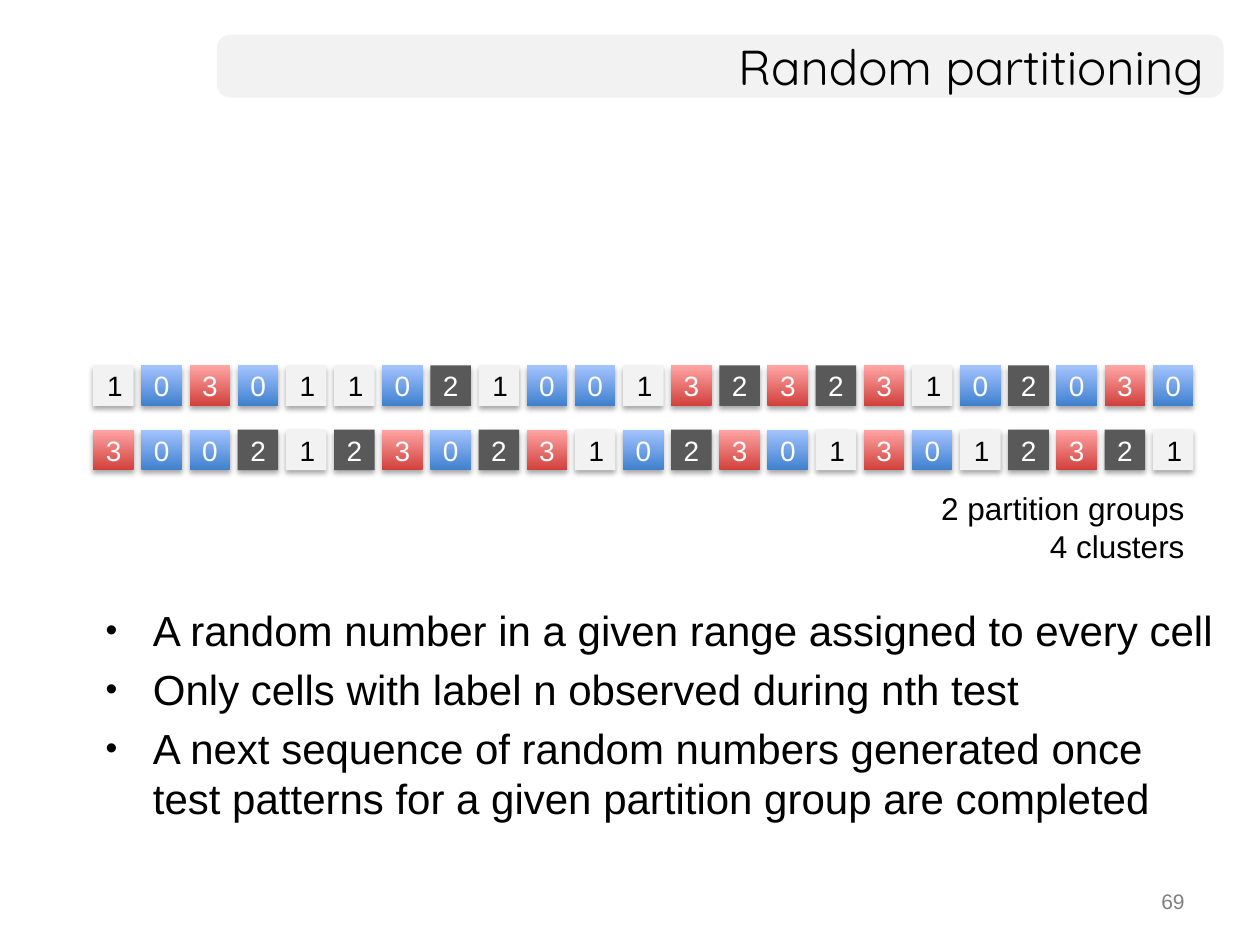
from lxml.etree import SubElement
from pptx import Presentation
from pptx.dml.color import RGBColor
from pptx.enum.shapes import MSO_SHAPE
from pptx.enum.text import MSO_ANCHOR, PP_ALIGN
from pptx.oxml.ns import qn
from pptx.util import Pt

BLACK = RGBColor(0x00, 0x00, 0x00)
WHITE = RGBColor(0xFF, 0xFF, 0xFF)
GRAY = RGBColor(0x80, 0x80, 0x80)
LIGHT = RGBColor(0xF2, 0xF2, 0xF2)
DARK = RGBColor(0x59, 0x59, 0x59)
BLUE = (RGBColor(0x3F, 0x80, 0xCE), RGBColor(0xA4, 0xC4, 0xFF))
RED = (RGBColor(0xD1, 0x40, 0x3C), RGBColor(0xFF, 0xA6, 0xA5))


def add_text(shapes, x, y, w, h, lines, size, align, font="Arial", color=BLACK):
    tf = shapes.add_textbox(Pt(x), Pt(y), Pt(w), Pt(h)).text_frame
    tf.word_wrap = True
    for i, line in enumerate(lines):
        p = tf.paragraphs[0] if i == 0 else tf.add_paragraph()
        p.alignment = align
        add_run(p, line, size, color, font)
    return tf


def add_run(p, text, size, color, font="Arial"):
    r = p.add_run()
    r.text = text
    r.font.size = Pt(size)
    r.font.name = font
    r.font.color.rgb = color


prs = Presentation()
prs.slide_width, prs.slide_height = Pt(720), Pt(540)
s = prs.slides.add_slide(prs.slide_layouts[6])

# Title bar
bar = s.shapes.add_shape(MSO_SHAPE.ROUNDED_RECTANGLE, Pt(124), Pt(19.8), Pt(575.3), Pt(36))
bar.adjustments[0] = 0.21
bar.shadow.inherit = False
bar.fill.solid()
bar.fill.fore_color.rgb = LIGHT
bar.line.fill.background()
tf = add_text(s.shapes, 124, 19.8, 571, 36, ["Random partitioning"], 28, PP_ALIGN.RIGHT, "Quicksand")
tf.vertical_anchor = MSO_ANCHOR.MIDDLE

# Slide number
add_text(s.shapes, 516, 504, 168, 25, ["69"], 12, PP_ALIGN.RIGHT, color=GRAY)

# Bullets
bullets = [
    "A random number in a given range assigned to every cell",
    "Only cells with label n observed during nth test",
    "A next sequence of random numbers generated once test patterns "
    "for a given partition group are completed",
]
tf = add_text(s.shapes, 53.3, 342, 650, 150.5, bullets, 24, PP_ALIGN.LEFT)
for i, p in enumerate(tf.paragraphs):
    if i:
        p.space_before = Pt(4.8)
    pPr = p._p.get_or_add_pPr()
    pPr.set("marL", str(Pt(27)))
    pPr.set("indent", str(-Pt(27)))
    SubElement(pPr, qn("a:buSzPct"), val="80000")
    SubElement(pPr, qn("a:buFont"), typeface="Arial")
    SubElement(pPr, qn("a:buChar"), char="•")

# Partition summary
tf = add_text(s.shapes, 522.7, 275.8, 161.3, 51, ["2 partition groups", "4 clusters"], 18, PP_ALIGN.RIGHT)
tf.word_wrap = False

# Two rows of cells, coloured by cluster label
rows = [(208.8, "10301102100132323102030"), (245.5, "30021230231023013012321")]
fills = {"0": BLUE, "1": LIGHT, "2": DARK, "3": RED}
left, pitch, side = 53.3, 27.52, 23.2
for top, labels in rows:
    group = s.shapes.add_group_shape()
    for col, label in enumerate(labels):
        sp = group.shapes.add_shape(
            MSO_SHAPE.RECTANGLE, Pt(left + col * pitch), Pt(top), Pt(side), Pt(side))
        fill = fills[label]
        if label in "03":
            sp.fill.gradient()
            sp.fill.gradient_angle = 90
            for stop, color in zip(sp.fill.gradient_stops, fill):
                stop.color.rgb = color
        else:
            sp.fill.solid()
            sp.fill.fore_color.rgb = fill
        sp.line.fill.background()

        # Soft shadow below the cell
        sp.shadow.inherit = False
        effects = sp._element.spPr.find(qn("a:effectLst"))
        shadow = SubElement(effects, qn("a:outerShdw"), blurRad=str(Pt(3.1)), dist=str(Pt(1.8)),
                            dir="5400000", rotWithShape="0")
        black = SubElement(shadow, qn("a:srgbClr"), val=str(BLACK))
        SubElement(black, qn("a:alpha"), val="35000")

        tf = sp.text_frame
        tf.vertical_anchor = MSO_ANCHOR.MIDDLE
        if label == "1":
            tf.word_wrap = False
            tf.margin_left = Pt(8.6)
        p = tf.paragraphs[0]
        p.alignment = PP_ALIGN.CENTER
        add_run(p, label, 16, BLACK if label == "1" else WHITE)

prs.save("out.pptx")
